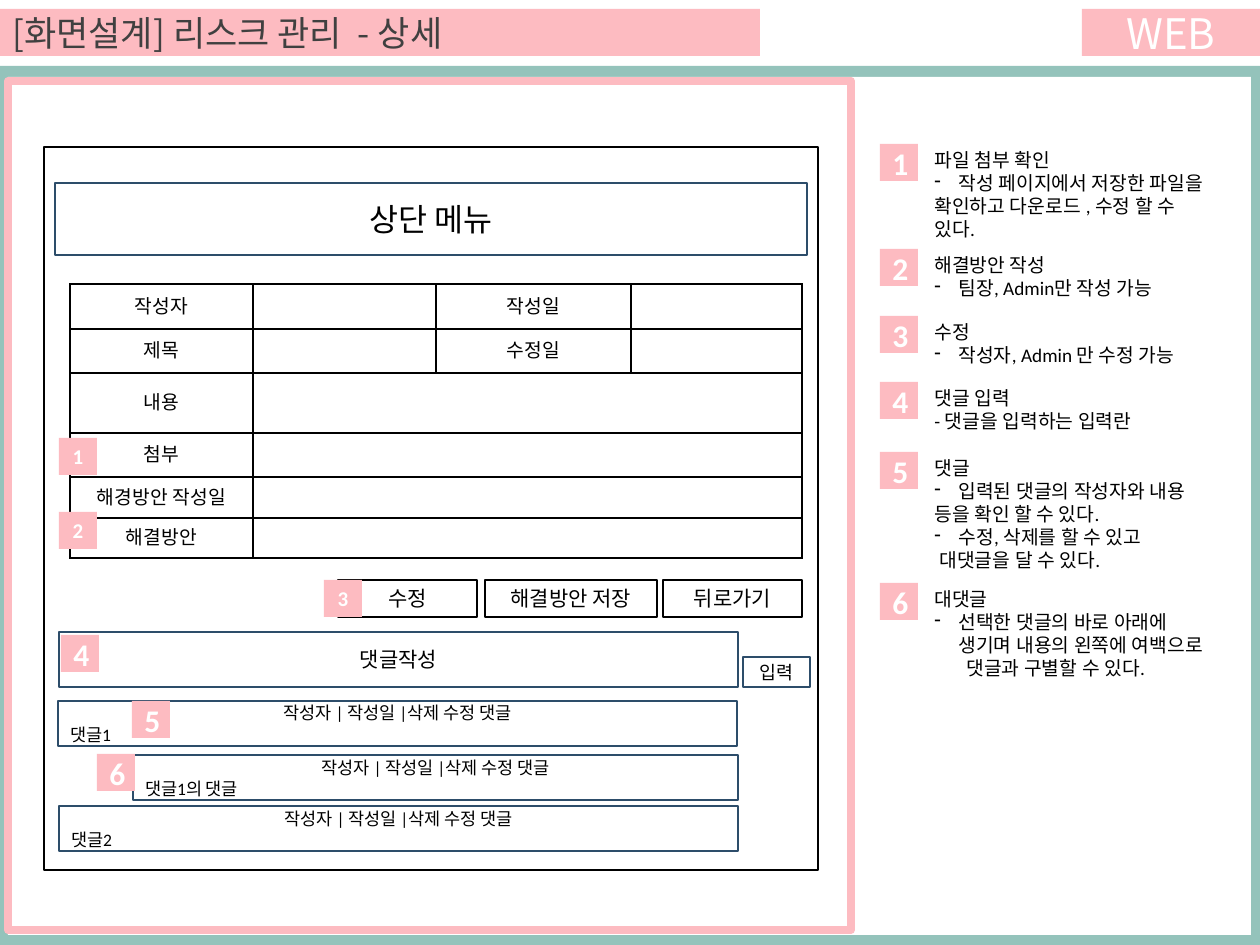
from lxml import etree
from pptx import Presentation
from pptx.dml.color import RGBColor
from pptx.enum.shapes import MSO_SHAPE
from pptx.enum.text import MSO_ANCHOR, PP_ALIGN
from pptx.oxml.ns import qn
from pptx.util import Pt

RECT = MSO_SHAPE.RECTANGLE
MIDDLE, TOP = MSO_ANCHOR.MIDDLE, MSO_ANCHOR.TOP
CENTER, LEFT = PP_ALIGN.CENTER, PP_ALIGN.LEFT
SCALE = 914400 / 126
PINK, TEAL, NAVY, BLACK, WHITE, GRAY = "FDBBC1", "94C3BB", "2D4D6A", "000000", "FFFFFF", "404040"
BODY, HEAD = "Calibri", "Noto Sans CJK KR"

LABELS = ["작성자", "제목", "내용", "첨부", "해경방안 작성일", "해결방안"]
DATES = ["작성일", "수정일"]
COLS, ROWS = [183, 183, 195, 171], [45, 44, 60, 44, 41, 40]
META = "작성자 | 작성일 |삭제 수정 댓글"
COMMENTS = [(14, 554, 679, "댓글1"), (89, 608, 605, "댓글1의 댓글"), (15, 659, 679, "댓글2")]
BADGES = [(15, 291, "1", 12), (15, 365, "2", 12), (280, 433, "3", 12),
          (17, 488, "4", 18), (88, 554, "5", 18), (53, 607, "6", 18)]
NOTES = [
    (0, 106, [("파일 첨부 확인", 0), ("작성 페이지에서 저장한 파일을", "-"),
              ("확인하고 다운로드 , 수정 할 수", 0), ("있다.", 0)]),
    (105, 83, [("해결방안 작성", 0), ("팀장, Admin만 작성 가능", "-")]),
    (172, 59, [("수정", 0), ("작성자, Admin 만 수정 가능", "-")]),
    (238, 59, [("댓글 입력", 0), ("- 댓글을 입력하는 입력란", 0)]),
    (308, 130, [("댓글", 0), ("입력된 댓글의 작성자와 내용", "-"), ("등을 확인 할 수 있다.", 0),
                ("수정, 삭제를 할 수 있고", "-"), ("대댓글을 달 수 있다.", 5)]),
    (439, 106, [("대댓글", 0), ("선택한 댓글의 바로 아래에 생기며 내용의 왼쪽에 여백으로", "-"),
                ("댓글과 구별할 수 있다.", 32)]),
]


def px(n):
    """Turn px into EMU."""
    return round(n * SCALE)


def rgb(hex_):
    """Turn a hex string into a colour."""
    return RGBColor.from_string(hex_)


def add_text(p, text, size, color=BLACK, font=BODY, bold=False, align=LEFT):
    """Add one styled run to a paragraph."""
    p.alignment = align
    r = p.add_run()
    r.text = text
    r.font.size, r.font.bold, r.font.name = Pt(size), bold, font
    r.font.color.rgb = rgb(color)
    etree.SubElement(r._r.get_or_add_rPr(), qn("a:ea"), typeface=font)


def add_box(s, x, y, w, h, fill=WHITE, line=None, weight=1):
    """Add a flat rectangle and return its text frame."""
    sp = s.shapes.add_shape(RECT, px(x), px(y), px(w), px(h))
    sp.shadow.inherit = False
    if fill:
        sp.fill.solid()
        sp.fill.fore_color.rgb = rgb(fill)
    else:
        sp.fill.background()
    if line:
        sp.line.color.rgb = rgb(line)
        sp.line.width = Pt(weight)
    else:
        sp.line.fill.background()
    tf = sp.text_frame
    tf.word_wrap, tf.vertical_anchor = True, MIDDLE
    return tf


def add_label(s, x, y, w, h, text, size, line):
    """Add an outlined box with a centred label."""
    add_text(add_box(s, x, y, w, h, line=line).paragraphs[0], text, size, align=CENTER)


def add_badge(s, x, y, text, size):
    """Add a pink number marker."""
    p = add_box(s, x, y, 38, 37, PINK).paragraphs[0]
    add_text(p, text, size, WHITE, bold=True, align=CENTER)


def add_frame(s, w, h):
    """Draw the header bars and the page frame."""
    add_box(s, 0, 66, w, h - 66, TEAL)
    add_box(s, 8, 77, w - 17, h - 87)
    add_box(s, 8, 81, 843, 849, None, PINK, 4.5)
    add_text(add_box(s, 0, 9, 760, 47, PINK).paragraphs[0],
             "[화면설계] 리스크 관리  - 상세", 20, GRAY, HEAD)
    add_text(add_box(s, w - 178, 9, 178, 47, PINK).paragraphs[0],
             "WEB", 24, WHITE, HEAD, align=CENTER)


def style_cell(cell, text):
    """Give a table cell its borders, fill and text."""
    cell.vertical_anchor = MIDDLE
    tcPr = cell._tc.get_or_add_tcPr()
    for side in ("lnL", "lnR", "lnT", "lnB"):
        ln = etree.SubElement(tcPr, qn("a:" + side), w=str(Pt(1)))
        fill = etree.SubElement(ln, qn("a:solidFill"))
        etree.SubElement(fill, qn("a:srgbClr"), val=BLACK)
    cell.fill.solid()
    cell.fill.fore_color.rgb = rgb(WHITE)
    p = cell.text_frame.paragraphs[0]
    if text:
        add_text(p, text, 11, align=CENTER)
    else:
        etree.SubElement(p._p, qn("a:endParaRPr"), sz="1100")


def add_detail_table(s, x, y):
    """Build the risk detail table."""
    tbl = s.shapes.add_table(len(ROWS), len(COLS), px(x), px(y),
                             px(sum(COLS)), px(sum(ROWS))).table
    tbl.first_row = tbl.horz_banding = False
    for col, w in zip(tbl.columns, COLS):
        col.width = px(w)
    for i, (row, h) in enumerate(zip(tbl.rows, ROWS)):
        row.height = px(h)
        date = DATES[i] if i < len(DATES) else ""
        for cell, text in zip(row.cells, (LABELS[i], "", date, "")):
            style_cell(cell, text)
        if not date:
            tbl.cell(i, 1).merge(tbl.cell(i, 3))


def add_screen(s, x, y, w, h):
    """Draw the wireframe of the detail screen."""
    add_box(s, x, y, w, h, line=BLACK)
    add_label(s, x + 11, y + 36, w - 22, 72, "상단 메뉴", 18, NAVY)
    add_detail_table(s, x + 26, y + 137)
    for dx, bw, text in ((294, 139, "수정"), (441, 172, "해결방안 저장"), (619, 139, "뒤로가기")):
        add_label(s, x + dx, y + 433, bw, 37, text, 12, BLACK)
    add_label(s, x + 15, y + 485, 679, 55, "댓글작성", 12, NAVY)
    add_label(s, x + 699, y + 510, 67, 30, "입력", 10.5, NAVY)
    for dx, dy, bw, text in COMMENTS:
        tf = add_box(s, x + dx, y + dy, bw, 45, line=NAVY)
        add_text(tf.paragraphs[0], META, 10, align=CENTER)
        add_text(tf.add_paragraph(), text, 10)
    for dx, dy, text, size in BADGES:
        add_badge(s, x + dx, y + dy, text, size)


def add_note(s, x, y, w, h, lines):
    """Add a description whose lines carry a dash or an indent in px."""
    tf = s.shapes.add_textbox(px(x), px(y), px(w), px(h)).text_frame
    tf.word_wrap, tf.vertical_anchor = True, TOP
    for i, (text, mark) in enumerate(lines):
        p = tf.add_paragraph() if i else tf.paragraphs[0]
        add_text(p, text, 11)
        pPr = p._p.get_or_add_pPr()
        if mark == "-":
            pPr.set("marL", str(px(24)))
            pPr.set("indent", str(px(-24)))
            etree.SubElement(pPr, qn("a:buChar"), char=mark)
        elif mark:
            pPr.set("marL", str(px(mark)))


def add_notes(s, x, y, w):
    """List the numbered descriptions."""
    for i, (dy, h, lines) in enumerate(NOTES, 1):
        add_badge(s, x, y + dy + 2, str(i), 18)
        add_note(s, x + 42, y + dy, w - 42, h, lines)


def main():
    """Build and save the slide."""
    prs = Presentation()
    prs.slide_width, prs.slide_height = px(1260), px(945)
    s = prs.slides.add_slide(prs.slide_layouts[6])
    add_frame(s, 1260, 945)
    add_screen(s, 44, 147, 774, 723)
    add_notes(s, 880, 142, 356)
    prs.save("out.pptx")


if __name__ == "__main__":
    main()
